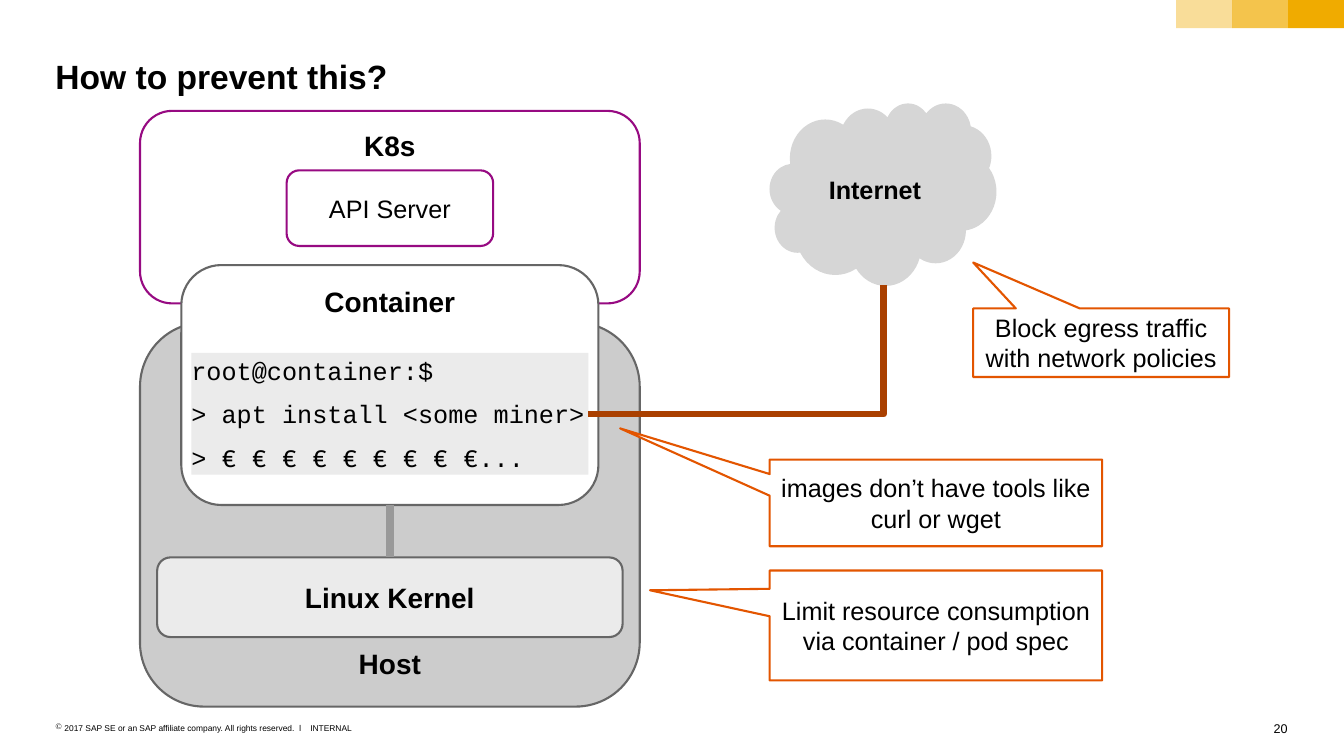
"""Build the slide on preventing a miner from being installed in a container."""
from lxml import etree
from pptx import Presentation
from pptx.dml.color import RGBColor
from pptx.enum.shapes import MSO_CONNECTOR, MSO_SHAPE
from pptx.enum.text import MSO_ANCHOR, PP_ALIGN
from pptx.oxml.ns import qn
from pptx.util import Inches, Pt

ROUND, RECT = MSO_SHAPE.ROUNDED_RECTANGLE, MSO_SHAPE.RECTANGLE
CLOUD, CALLOUT = MSO_SHAPE.CLOUD, MSO_SHAPE.RECTANGULAR_CALLOUT
TOP, MIDDLE, BOTTOM = MSO_ANCHOR.TOP, MSO_ANCHOR.MIDDLE, MSO_ANCHOR.BOTTOM
LEFT, CENTER, RIGHT = PP_ALIGN.LEFT, PP_ALIGN.CENTER, PP_ALIGN.RIGHT

COLORS = {
    "black": "000000", "white": "FFFFFF", "gold": "F0AB00", "host": "CCCCCC",
    "panel": "EBEBEB", "cloud": "D6D6D6", "edge": "666666", "purple": "970A82",
    "orange": "E35500", "traffic": "AA4000", "link": "999999",
}
SLIDE_WIDTH, SLIDE_HEIGHT = 13.34, 7.5
MARGIN = 0.55
AXIS = 3.87
RIGHT_COLUMN = 7.64

TITLE = "How to prevent this?"
STACK = [
    ("Host", 3.2, 4.96, 3.81, "host", "edge", BOTTOM, 20, True),
    ("K8s", 1.1, 4.96, 1.91, "white", "purple", TOP, 20, True),
    ("Container", 2.63, 4.14, 2.38, "white", "edge", TOP, 20, True),
    ("Linux Kernel", 5.53, 4.62, 0.79, "panel", "edge", MIDDLE, 20, True),
    ("API Server", 1.69, 2.05, 0.75, "white", "purple", MIDDLE, 18, False),
]
TERMINAL = ["root@container:$", "> apt install <some miner>", "> € € € € € € € € €..."]
CALLOUTS = [
    ("Block egress traffic with network policies", (9.66, 3.06, 2.54, 0.68), (-0.5, -1.17)),
    ("Limit resource consumption via container / pod spec",
     (RIGHT_COLUMN, 5.66, 3.3, 1.09), (-0.86, -0.32)),
    ("images don’t have tools like curl or wget",
     (RIGHT_COLUMN, 4.56, 3.3, 0.86), (-0.95, -0.86)),
]
FOOTERS = [
    ("20", (12.63, 7.15, 0.15, 0.15), 9, RIGHT, False),
    ("INTERNAL", (3.08, 7.17, 0.42, 0.1), 6, LEFT, False),
    ("2017 SAP SE or an SAP affiliate company. All rights reserved.  ǀ",
     (MARGIN, 7.17, 2.48, 0.1), 6, LEFT, True),
]
BAND_OPACITY = [40, 70, 100]
BAND_WIDTH, BAND_HEIGHT = 0.555, 0.28


def color(name):
    return RGBColor.from_string(COLORS[name])


def write(shape, lines, size, bold=False, align=CENTER, anchor=MIDDLE,
          insets=(0.1, 0.08), font="Arial", gap=0, wrap=True):
    frame = shape.text_frame
    across, down = map(Inches, insets)
    layout = {"word_wrap": wrap, "vertical_anchor": anchor, "margin_left": across,
              "margin_right": across, "margin_top": down, "margin_bottom": down}
    for name, value in layout.items():
        setattr(frame, name, value)
    for number, line in enumerate(lines):
        para = frame.add_paragraph() if number else frame.paragraphs[0]
        para.alignment = align
        para.space_before = Pt(gap if number else 0)
        span = para.add_run()
        span.text = line
        for name, value in {"name": font, "size": Pt(size), "bold": bold}.items():
            setattr(span.font, name, value)
        span.font.color.rgb = color("black")


def add_box(page, kind, area, fill, edge=None):
    box = page.shapes.add_shape(kind, *map(Inches, area))
    box.shadow.inherit = False
    box.fill.solid()
    box.fill.fore_color.rgb = color(fill)
    if edge:
        box.line.color.rgb = color(edge)
        box.line.width = Pt(1.5)
    else:
        box.line.fill.background()
    return box


def add_line(page, kind, start, end, tint, width):
    line = page.shapes.add_connector(kind, *map(Inches, start + end))
    line.line.color.rgb = color(tint)
    line.line.width = Pt(width)
    etree.SubElement(line._element.spPr, qn("a:effectLst"))
    return line


def add_bands(page):
    first = SLIDE_WIDTH - BAND_WIDTH * len(BAND_OPACITY)
    for number, opacity in enumerate(BAND_OPACITY):
        area = (first + number * BAND_WIDTH, 0, BAND_WIDTH, BAND_HEIGHT)
        band = add_box(page, RECT, area, "gold")
        if opacity < 100:
            tint = band._element.spPr.find(".//" + qn("a:srgbClr"))
            etree.SubElement(tint, qn("a:alpha"), val=str(opacity * 1000))


def add_footers(page):
    for text, area, size, align, bulleted in FOOTERS:
        box = page.shapes.add_textbox(*map(Inches, area))
        if bulleted:
            props = box.text_frame.paragraphs[0]._p.get_or_add_pPr()
            props.set("marL", str(Inches(0.09)))
            props.set("indent", str(Inches(-0.09)))
            etree.SubElement(props, qn("a:buChar"), char="©")
        write(box, [text], size, align=align, anchor=TOP, insets=(0, 0), wrap=bulleted)


def add_title(page):
    title = page.shapes.title
    area = (MARGIN, 0.55, SLIDE_WIDTH - 2 * MARGIN, 0.4)
    for name, value in zip(("left", "top", "width", "height"), area):
        setattr(title, name, Inches(value))
    write(title, [TITLE], 24, True, LEFT, BOTTOM, (0, 0))


def add_stack(page):
    boxes = {}
    for label, top, width, height, fill, edge, anchor, size, bold in STACK:
        area = (AXIS - width / 2, top, width, height)
        boxes[label] = add_box(page, ROUND, area, fill, edge)
        write(boxes[label], [label], size, bold, anchor=anchor)
    link = add_line(page, MSO_CONNECTOR.STRAIGHT, (AXIS, 5.01), (AXIS, 5.53), "link", 6)
    link.begin_connect(boxes["Container"], 2)
    link.end_connect(boxes["Linux Kernel"], 0)


def add_traffic(page):
    cloud = add_box(page, CLOUD, (RIGHT_COLUMN, 1.02, 2.25, 1.81), "cloud")
    write(cloud, ["Internet"], 18, True)
    terminal = add_box(page, RECT, (1.9, 3.5, 3.94, 1.21), "panel")
    write(terminal, TERMINAL, 18, align=LEFT, insets=(0, 0), font="Courier New", gap=9.6)
    route = add_line(page, MSO_CONNECTOR.ELBOW, (5.84, 4.11), (8.77, 2.83), "traffic", 4.5)
    route._element.spPr.find(qn("a:prstGeom")).set("prst", "bentConnector2")


def add_callouts(page):
    for text, area, tip in CALLOUTS:
        callout = add_box(page, CALLOUT, area, "white", "orange")
        for number, value in enumerate(tip):
            callout.adjustments[number] = value
        write(callout, [text], 18)


def main():
    deck = Presentation()
    deck.slide_width, deck.slide_height = Inches(SLIDE_WIDTH), Inches(SLIDE_HEIGHT)
    page = deck.slides.add_slide(deck.slide_layouts[5])
    for add_part in (add_footers, add_bands, add_title, add_stack, add_traffic, add_callouts):
        add_part(page)
    deck.save("out.pptx")


if __name__ == "__main__":
    main()
